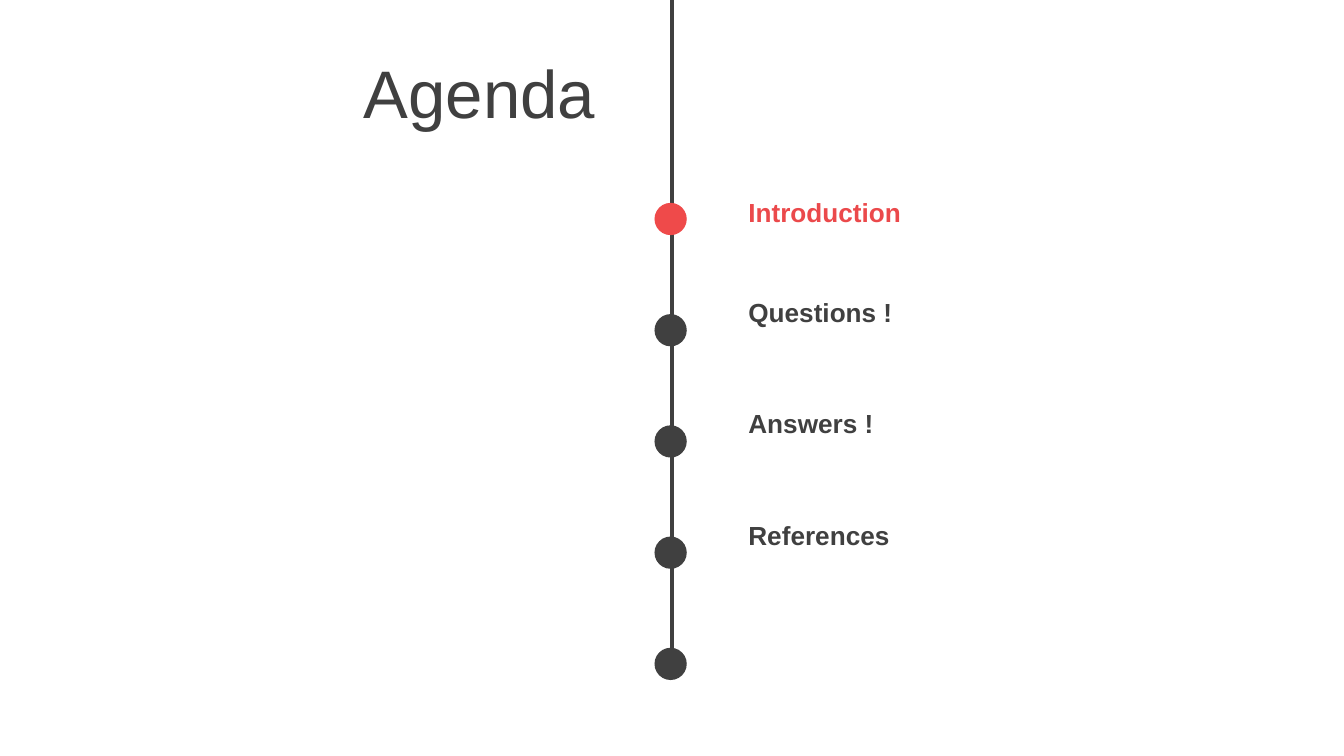
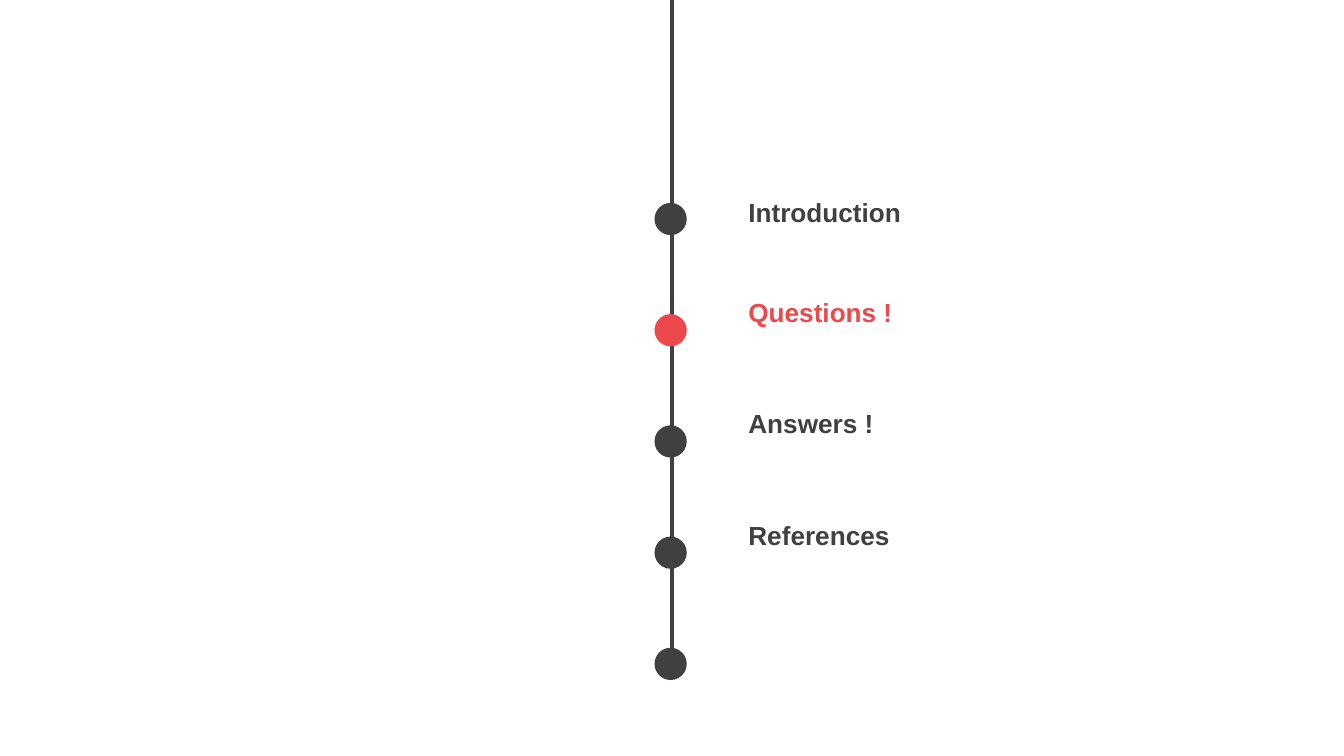
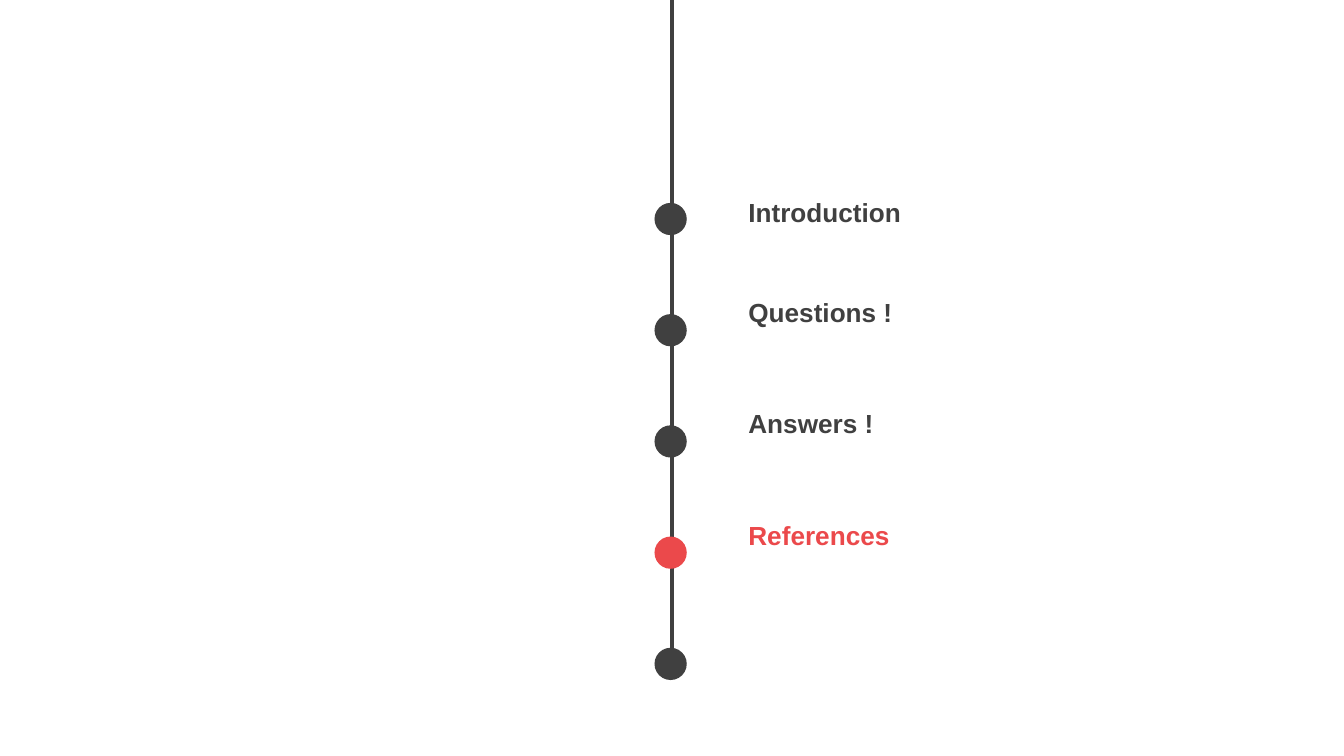
import pptx
import pptx.util
import pptx.dml.color
import pptx.enum.shapes
import pptx.enum.text
import lxml.etree

# Content: each slide marks one topic
TOPICS = ["Introduction", "Questions !", "Answers !", "References"]
SLIDES = [
    {"title": "Agenda", "active": 0, "dot": "EF4A4A"},
    {"active": 1, "dot": "EB494B"},
    {"active": 3, "dot": "EB494B"},
]

# Shared style
DARK, RED = "404040", "EB494B"
FONT = "Arial"

# Shared layout, in inches
WIDTH = 10
HEIGHT = WIDTH * 9 / 16
AXIS, END = 5, 5.01
DOTS, FIRST, LAST = 5, 1.51, 4.82
STEP = (LAST - FIRST) / (DOTS - 1)
DOT_X, SIZE = 4.87, 0.24
TEXT_X, TEXT_W, TEXT_H = 5.47, 3.86, 0.34
LIFT, TOP_LIFT = 0.18, 0.1

Inches = pptx.util.Inches


def color(code):
    return pptx.dml.color.RGBColor.from_string(code)


def write(frame, text, size, code, bold=False):
    run = frame.paragraphs[0].add_run()
    run.text = text
    run.font.name = FONT
    run.font.size = pptx.util.Pt(size)
    run.font.bold = bold
    run.font.color.rgb = color(code)


def add_title(slide, text):
    title = slide.shapes.title
    title.left, title.top = Inches(0), Inches(0.37)
    title.width, title.height = Inches(4.53), Inches(0.63)
    frame = title.text_frame
    frame.auto_size = pptx.enum.text.MSO_AUTO_SIZE.NONE
    frame.vertical_anchor = pptx.enum.text.MSO_ANCHOR.MIDDLE
    frame.paragraphs[0].alignment = pptx.enum.text.PP_ALIGN.RIGHT
    write(frame, text, 36, DARK)


def add_axis(slide):
    line = slide.shapes.add_connector(
        pptx.enum.shapes.MSO_CONNECTOR.STRAIGHT,
        Inches(AXIS), Inches(0), Inches(AXIS), Inches(END))
    line.line.color.rgb = color(DARK)
    line.line.width = pptx.util.Pt(2)
    props = line.element.spPr
    lxml.etree.SubElement(props, pptx.oxml.ns.qn("a:effectLst"))


def add_dot(slide, top, code):
    dot = slide.shapes.add_shape(
        pptx.enum.shapes.MSO_SHAPE.FLOWCHART_CONNECTOR,
        Inches(DOT_X), Inches(top), Inches(SIZE), Inches(SIZE))
    dot.shadow.inherit = False
    dot.fill.solid()
    dot.fill.fore_color.rgb = color(code)
    dot.line.fill.background()


def add_label(slide, top, text, code):
    box = slide.shapes.add_textbox(
        Inches(TEXT_X), Inches(top), Inches(TEXT_W), Inches(TEXT_H))
    frame = box.text_frame
    frame.word_wrap = True
    frame.auto_size = pptx.enum.text.MSO_AUTO_SIZE.SHAPE_TO_FIT_TEXT
    write(frame, text, 14, code, bold=True)


def build(deck, page):
    # Title Only layout for a titled slide, Blank otherwise
    layout = deck.slide_layouts[5 if "title" in page else 6]
    slide = deck.slides.add_slide(layout)
    if "title" in page:
        add_title(slide, page["title"])

    # Timeline
    add_axis(slide)
    tops = [FIRST + i * STEP for i in range(DOTS)]
    for i, top in enumerate(tops):
        add_dot(slide, top, page["dot"] if i == page["active"] else DARK)

    # Topics; the first sits closer to its dot
    for i, (top, topic) in enumerate(zip(tops, TOPICS)):
        lift = LIFT if i else TOP_LIFT
        add_label(slide, top - lift, topic, RED if i == page["active"] else DARK)


def main():
    deck = pptx.Presentation()
    deck.slide_width, deck.slide_height = Inches(WIDTH), Inches(HEIGHT)
    for page in SLIDES:
        build(deck, page)
    deck.save("out.pptx")


if __name__ == "__main__":
    main()
